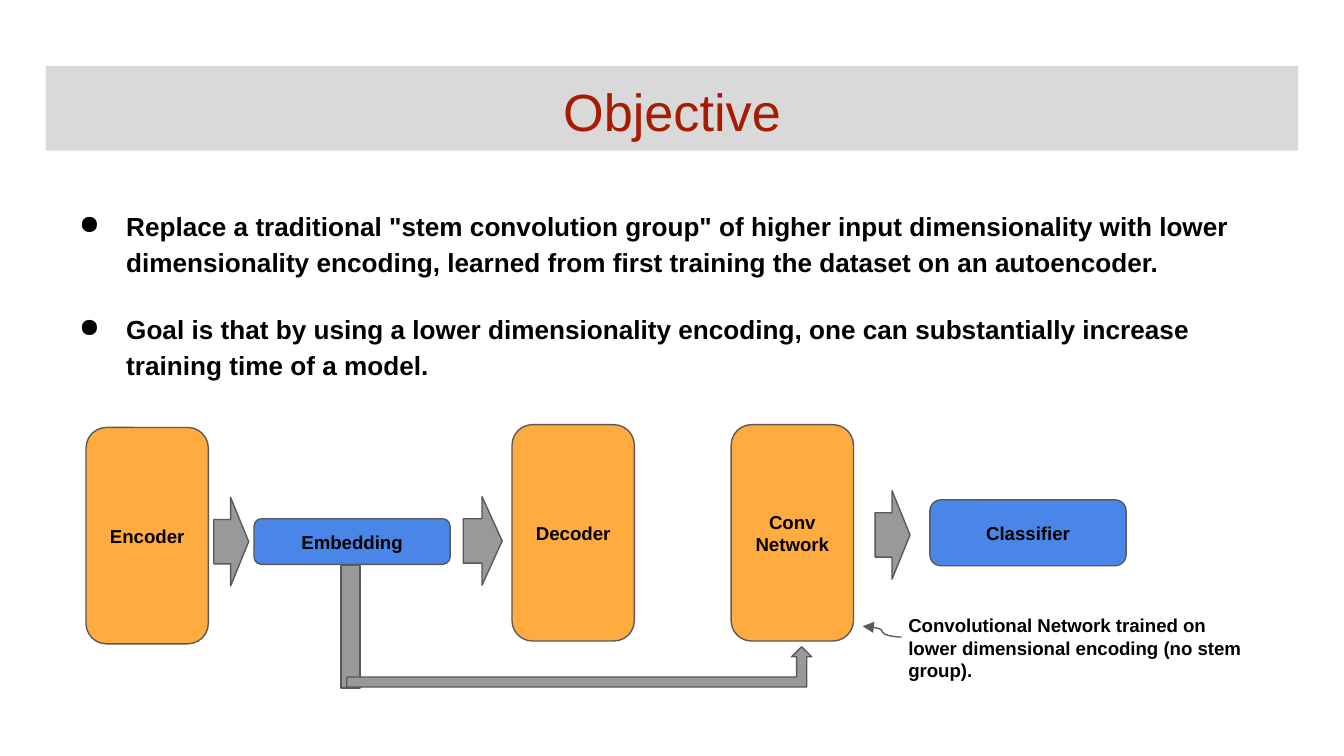
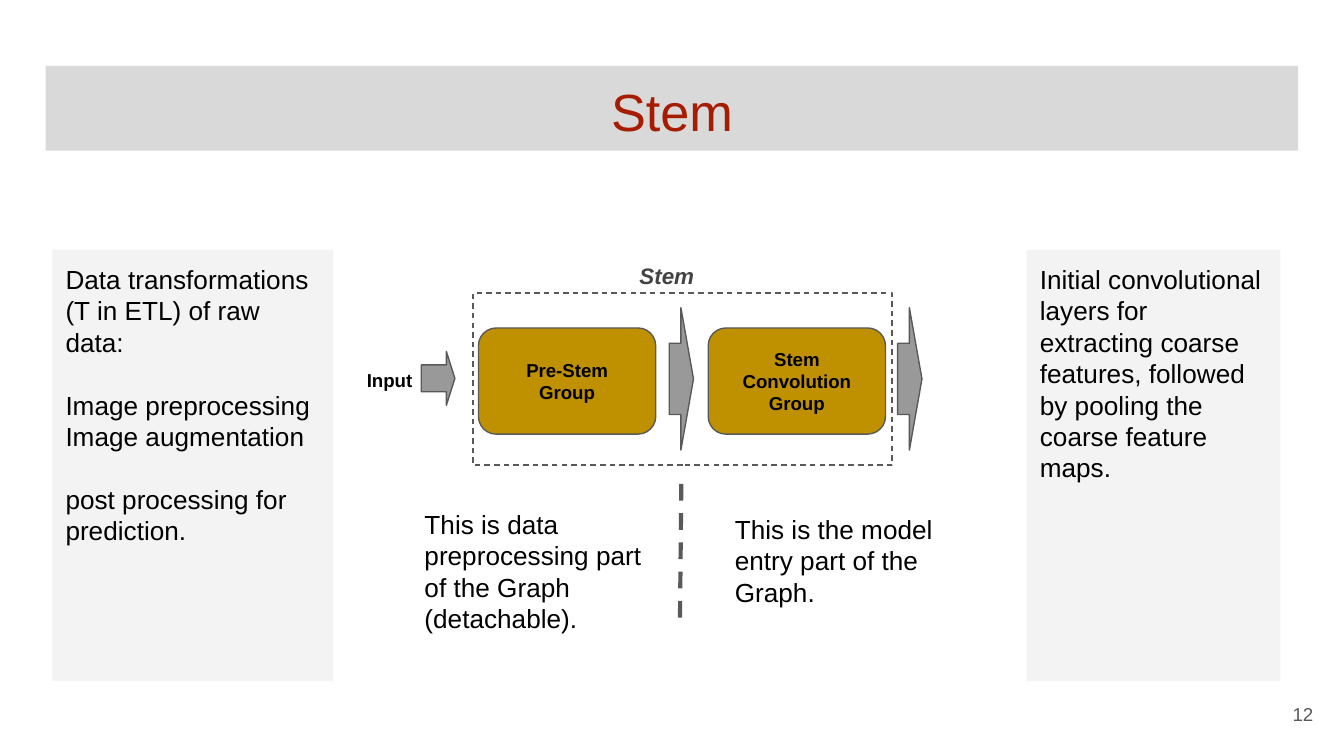
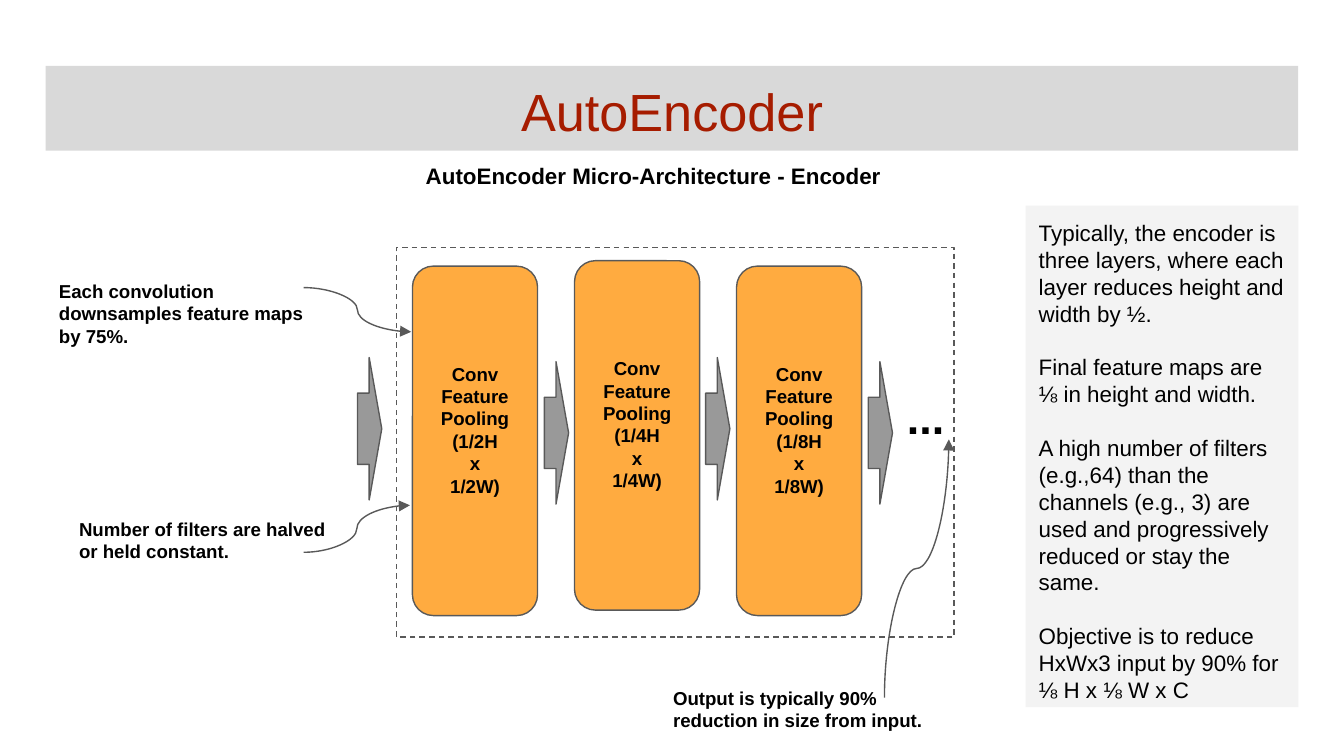
from lxml.etree import SubElement
from pptx import Presentation
from pptx.dml.color import RGBColor
from pptx.enum.dml import MSO_LINE
from pptx.enum.shapes import MSO_CONNECTOR as LINK, MSO_SHAPE as SHAPE
from pptx.enum.text import MSO_ANCHOR as ANCHOR, PP_ALIGN as ALIGN
from pptx.oxml.ns import qn
from pptx.util import Pt

COLORS = {
    "band": "D9D9D9", "title": "A61C00", "panel": "F3F3F3", "text": "000000",
    "outline": "595959", "arrow": "999999", "network": "FFAB40",
    "data": "4A86E8", "stem": "BF9000", "caption": "434343",
}
FONT = "Arial"
INSET = 7.2
LINE_HEIGHT = 1.2
TITLE_BOX = (24.5, 35.3, 671, 45.4)


def color(name):
    return RGBColor.from_string(COLORS[name])


def at(origin, x, y, *size):
    """Shift an offset by the corner of its region."""
    return (origin[0] + x, origin[1] + y, *size)


def points(values):
    return [Pt(round(value, 2)) for value in values]


# Text: each group is a list of paragraphs, with a line's gap between groups

def write(shape, groups, size, bold=False, italic=False, ink="text",
          align=ALIGN.LEFT, anchor=ANCHOR.TOP, bottom=INSET):
    frame = shape.text_frame
    frame.word_wrap = True
    frame.vertical_anchor = anchor
    frame.margin_left = frame.margin_right = frame.margin_top = Pt(INSET)
    frame.margin_bottom = Pt(bottom)
    lines = [(line, bool(g) and not i)
             for g, group in enumerate(groups) for i, line in enumerate(group)]
    for number, (line, gap) in enumerate(lines):
        paragraph = frame.add_paragraph() if number else frame.paragraphs[0]
        paragraph.text = line
        paragraph.alignment = align
        if gap:
            paragraph.space_before = Pt(round(size * LINE_HEIGHT, 2))
        font = paragraph.font
        font.name, font.size, font.bold, font.italic = FONT, Pt(size), bold, italic
        font.color.rgb = color(ink)
    return frame


def add_text(slide, box, line, size, **style):
    return write(slide.shapes.add_textbox(*points(box)), [[line]], size, **style)


def add_note(slide, box, line):
    add_text(slide, box, line, 10, bold=True)


# Shapes and lines

def add_shape(slide, kind, box, fill=None, outline="outline", adjust=()):
    shape = slide.shapes.add_shape(kind, *points(box))
    shape.shadow.inherit = False
    for i, value in enumerate(adjust):
        shape.adjustments[i] = value
    if fill:
        shape.fill.solid()
        shape.fill.fore_color.rgb = color(fill)
    else:
        shape.fill.background()
    if outline:
        shape.line.color.rgb = color(outline)
        shape.line.width = Pt(0.75)
    else:
        shape.line.fill.background()
    return shape


def add_block(slide, box, fill, paragraphs, bottom=INSET):
    block = add_shape(slide, SHAPE.ROUNDED_RECTANGLE, box, fill, adjust=[0.167])
    write(block, [paragraphs], 10, bold=True, align=ALIGN.CENTER,
          anchor=ANCHOR.MIDDLE, bottom=bottom)


def add_flow(slide, center, length, span, head=0.517):
    """Block arrow pointing right, centred on a point."""
    x, y = center
    arrow = add_shape(slide, SHAPE.DOWN_ARROW,
                      (x - span / 2, y - length / 2, span, length),
                      "arrow", adjust=[0.5, head])
    arrow.rotation = 270


def add_frame(slide, box):
    add_shape(slide, SHAPE.RECTANGLE, box).line.dash_style = MSO_LINE.DASH


def add_panel(slide, box, groups, size):
    write(add_shape(slide, SHAPE.RECTANGLE, box, "panel", None), groups, size)


def add_line(slide, kind, begin, end, width=0.75):
    line = slide.shapes.add_connector(kind, *points((*begin, *end)))
    line.line.color.rgb = color("outline")
    line.line.width = Pt(width)
    SubElement(line._element.spPr, qn("a:effectLst"))
    return line


def add_pointer(slide, begin, end, upright=False):
    """Curved arrow; an upright one leaves vertically, by a quarter turn."""
    if upright:
        x, y = (begin[0] + end[0]) / 2, (begin[1] + end[1]) / 2
        run, rise = (begin[1] - end[1]) / 2, (end[0] - begin[0]) / 2
        begin, end = (x - run, y - rise), (x + run, y + rise)
    pointer = add_line(slide, LINK.CURVE, begin, end)
    if upright:
        pointer._element.spPr.find(qn("a:xfrm")).set("rot", str(270 * 60000))
    SubElement(pointer.line._get_or_add_ln(), qn("a:tailEnd"), type="triangle")


def add_titled_slide(deck, title):
    slide = deck.slides.add_slide(deck.slide_layouts[6])
    band = add_shape(slide, SHAPE.RECTANGLE, TITLE_BOX, "band", None)
    write(band, [[title]], 28, ink="title", align=ALIGN.CENTER)
    return slide


# Objective

def add_goals(slide, box, goals):
    frame = write(slide.shapes.add_textbox(*points(box)),
                  [[goal] for goal in goals], 14, bold=True)
    frame.paragraphs[0].space_before = Pt(11)
    for paragraph in frame.paragraphs:
        paragraph.line_spacing = 1.15
        properties = paragraph._p.get_or_add_pPr()
        properties.set("marL", str(Pt(36)))
        properties.set("indent", str(-Pt(25.2)))
        bullet = SubElement(properties, qn("a:buChar"), char="●")
        properties.find(qn("a:defRPr")).addprevious(bullet)


def add_pipeline(slide, origin):
    # Flow between the stages
    for x, y, length in ((77.8, 62.7, 18.7), (212.5, 62.3, 20.9), (432.1, 59.1, 18.7)):
        add_flow(slide, at(origin, x, y), length, 47.5)
    # Networks
    for name, x, y in (("Encoder", 0, 1.5), ("Decoder", 228.2, 0),
                       ("Conv\vNetwork", 345.6, 0)):
        add_block(slide, at(origin, x, y, 65.5, 115.9), "network", [name])
    # Data stages
    for name, x, y, height in (("Embedding", 90, 50.4, 24.5),
                               ("Classifier", 452.1, 40.3, 35.3)):
        add_block(slide, at(origin, x, y, 105.1, height), "data", [name])
    # Path from the embedding to the network
    add_shape(slide, SHAPE.RECTANGLE, at(origin, 136.7, 75.6, 10.1, 65.5), "arrow")
    add_shape(slide, SHAPE.BENT_UP_ARROW, at(origin, 139.7, 119, 249.1, 21.6),
              "arrow", adjust=[0.25] * 3)
    # Remark on the network
    add_pointer(slide, at(origin, 437, 113.8), at(origin, 416.1, 108))
    add_note(slide, at(origin, 433.4, 94.3, 193, 35.3),
             "Convolutional Network trained on lower dimensional encoding "
             "(no stem group).")


def build_objective(deck):
    slide = add_titled_slide(deck, "Objective")
    add_goals(slide, (24.5, 103, 671, 116.6), [
        'Replace a traditional "stem convolution group" of higher input '
        "dimensionality with lower dimensionality encoding, learned from first "
        "training the dataset on an autoencoder.",
        "Goal is that by using a lower dimensionality encoding, one can "
        "substantially increase training time of a model.",
    ])
    add_pipeline(slide, (46.1, 227.5))


# Stem

def add_stem(slide, origin):
    # Groups, each followed by an arrow
    for i, name in enumerate(("Pre-Stem\vGroup", "Stem\vConvolution Group")):
        add_block(slide, at(origin, 2.9 + 123.1 * i, 18.7, 95, 56.9), "stem", [name])
        add_flow(slide, at(origin, 111.6 + 122.4 * i, 46), 13, 76.3)
    add_frame(slide, at(origin, 0, 0, 224.6, 92.2))
    add_text(slide, at(origin, 82.1, -23.8, 59.8, 31), "Stem", 12,
             bold=True, italic=True, ink="caption")
    # Input
    add_flow(slide, at(origin, -18.7, 45.7), 18, 28.8, head=0.253)
    add_note(slide, at(origin, -64, 34.5, 43.9, 23), "Input")
    # Remarks on both sides of the divider
    divider = add_line(slide, LINK.STRAIGHT, at(origin, 111.6, 102.2),
                       at(origin, 110.9, 174.2), 2.25)
    divider.line.dash_style = MSO_LINE.DASH
    add_text(slide, at(origin, -33.1, 108, 131, 56.9),
             "This is data preprocessing part of the Graph (detachable).", 14)
    add_text(slide, at(origin, 133.2, 110.8, 144, 51.8),
             "This is the model entry part of the Graph.", 14)


def build_stem(deck):
    slide = add_titled_slide(deck, "Stem")
    add_stem(slide, (253.4, 157))
    add_panel(slide, (28, 133.9, 150.5, 231), [
        ["Data transformations (T in ETL) of raw data:"],
        ["Image preprocessing", "Image augmentation"],
        ["post processing for prediction."],
    ], 14)
    add_panel(slide, (550, 133.9, 136, 231), [[
        "Initial convolutional layers for extracting coarse features, followed "
        "by pooling the coarse feature maps."]], 14)
    add_text(slide, (667.4, 367.2, 43.2, 31), "12", 10, ink="outline",
             align=ALIGN.RIGHT, anchor=ANCHOR.MIDDLE)


# AutoEncoder

def add_encoder(slide, origin):
    add_frame(slide, at(origin, 0, 0, 298.8, 208.8))
    add_text(slide, at(origin, 8.6, -52.6, 298.8, 31),
             "AutoEncoder Micro-Architecture - Encoder", 12, bold=True)
    # Layers, the middle one slightly raised
    for i, part in enumerate((2, 4, 8)):
        add_block(slide, at(origin, 8.6 + 86.8 * i, 7.2 if i == 1 else 10.1, 67, 187.2),
                  "network",
                  ["Conv\vFeature\vPooling", f"(1/{part}H\vx", f"1/{part}W)"],
                  bottom=INSET + 10 * LINE_HEIGHT)
    for i, x in enumerate((-14.4, 85.7, 172.1, 259.2)):
        add_flow(slide, at(origin, x, 99.4 if i % 2 else 97.2), 13, 76.3)
    add_text(slide, at(origin, 266.4, 69.1, 59.8, 33), "...", 24, bold=True)
    # Remarks with their pointers
    for x, y, height, remark in (
            (-187.9, 10.1, 64, "Each convolution downsamples feature maps by 75%."),
            (-177.1, 137.5, 64, "Number of filters are halved or held constant."),
            (141.1, 228.2, 40.3,
             "Output is typically 90% reduction in size from input.")):
        add_note(slide, at(origin, x, y, 149.8, height), remark)
    add_pointer(slide, at(origin, -49.7, 21.6), at(origin, 7.9, 45.3))
    add_pointer(slide, at(origin, -49.7, 163.4), at(origin, 7.2, 138.2))
    add_pointer(slide, at(origin, 261.4, 241.2), at(origin, 295.9, 102.9), upright=True)


def build_autoencoder(deck):
    slide = add_titled_slide(deck, "AutoEncoder")
    add_encoder(slide, (212.4, 132.5))
    add_panel(slide, (549.4, 110.2, 146.2, 268.6), [
        ["Typically, the encoder is three layers, where each layer reduces "
         "height and width by ½."],
        ["Final feature maps are ⅛ in height and width."],
        ["A high number of filters (e.g.,64) than the channels (e.g., 3) are "
         "used and progressively reduced or stay the same."],
        ["Objective is to reduce HxWx3 input by 90% for ⅛ H x ⅛ W x C"],
    ], 12)


def main():
    deck = Presentation()
    deck.slide_width, deck.slide_height = Pt(720), Pt(405)
    build_objective(deck)
    build_stem(deck)
    build_autoencoder(deck)
    deck.save("out.pptx")


if __name__ == "__main__":
    main()
